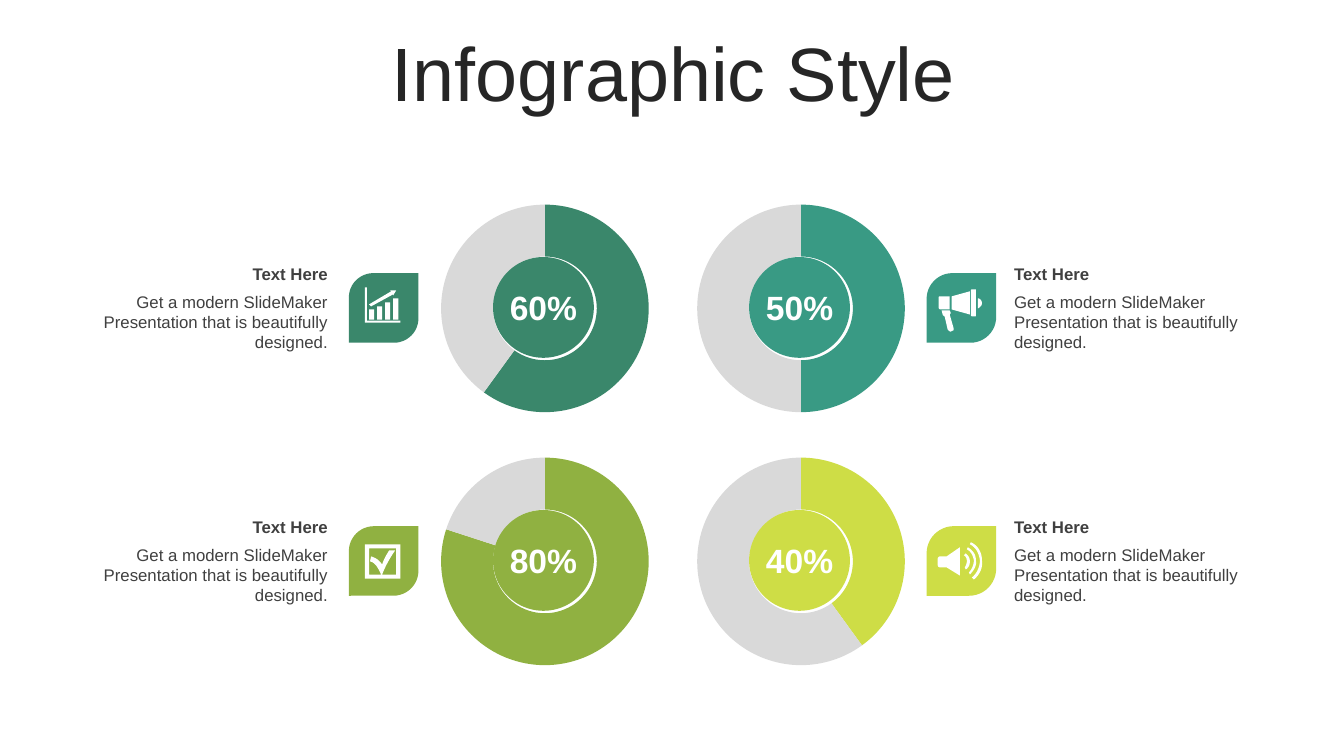
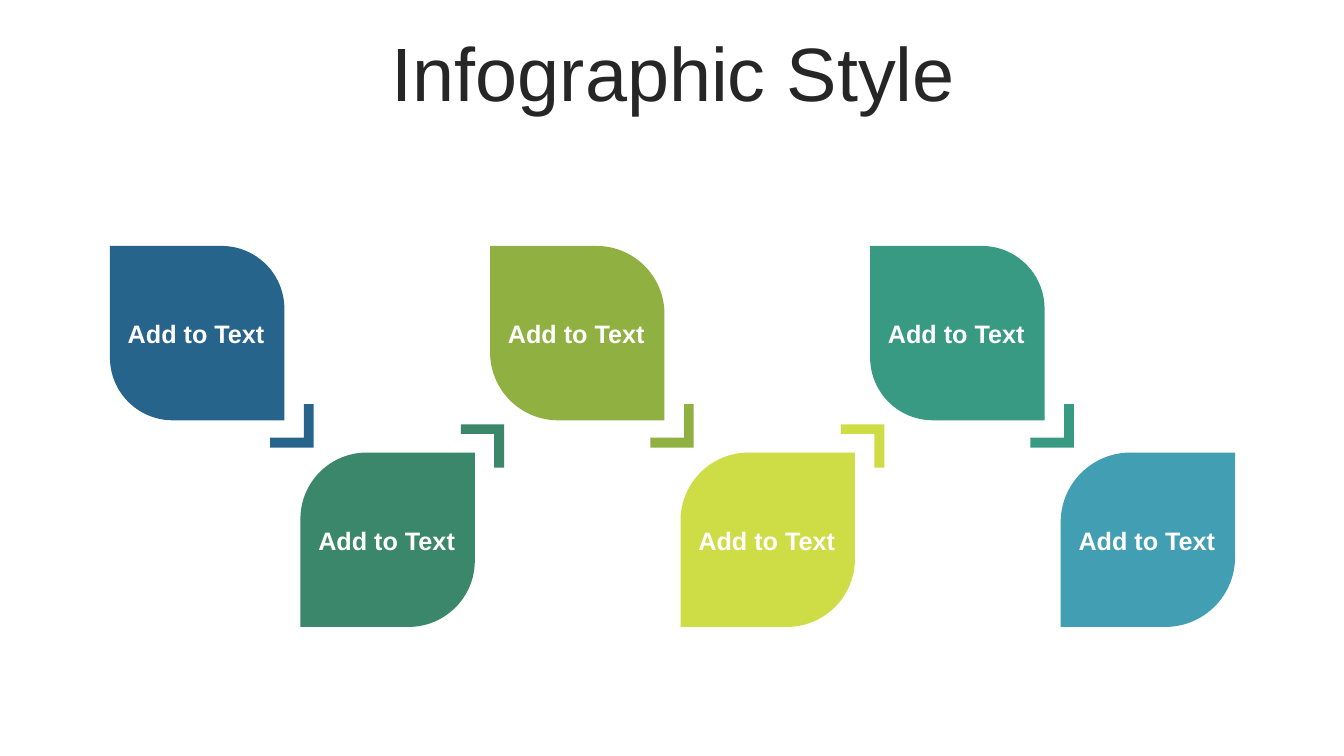
from pptx import Presentation
from pptx.chart.data import CategoryChartData
from pptx.dml.color import RGBColor
from pptx.enum.chart import XL_CHART_TYPE as ChartType
from pptx.enum.shapes import MSO_SHAPE as Preset
from pptx.enum.text import MSO_ANCHOR as Anchor, MSO_AUTO_SIZE as AutoSize, PP_ALIGN as Align
from pptx.oxml import parse_xml
from pptx.oxml.ns import nsdecls
from pptx.util import Pt

PX = 9144  # EMU in one px, 100 px to the inch
FONT = "Arial"

WHITE = RGBColor(0xFF, 0xFF, 0xFF)
INK = RGBColor(0x26, 0x26, 0x26)
GRAY = RGBColor(0x40, 0x40, 0x40)
SILVER = RGBColor(0xD9, 0xD9, 0xD9)
BLACK = RGBColor(0x00, 0x00, 0x00)
BLUE = RGBColor(0x26, 0x64, 0x8C)
GREEN = RGBColor(0x3A, 0x87, 0x6B)
OLIVE = RGBColor(0x90, 0xB1, 0x41)
LIME = RGBColor(0xCE, 0xDD, 0x46)
TEAL = RGBColor(0x39, 0x9A, 0x84)
SKY = RGBColor(0x42, 0x9E, 0xB3)

# Icon outlines in px from the tile corner: a pair is a line, six numbers a Bézier curve
GROWTH_ICON = [
    *[[(x, top), (x + 5, top), (x + 5, 46), (x, 46)]
      for x, top in ((20, 36), (28, 33), (36, 29), (44, 25))],
    [(41, 17), (47, 17), (44, 22), (44, 21), (22, 33), (20, 31), (42, 18)],
    [(16, 14), (18, 14), (18, 47), (51, 47), (51, 49), (16, 49)],
]
MEGAPHONE_ICON = [
    [(23, 37), (24, 39), (24, 40, 24, 40, 23, 41), (27, 55), (27, 56, 27, 57, 26, 57),
     (24, 58), (23, 58, 22, 57, 21, 56), (18, 43), (17, 42, 16, 42, 16, 41), (15, 37)],
    [(51, 25), (53, 25, 55, 27, 55, 30), (55, 32, 53, 34, 51, 35), (51, 31, 51, 28, 51, 25)],
    [(14, 23), (23, 23), (23, 36), (14, 36), (13, 36, 12, 35, 12, 34), (12, 24),
     (12, 23, 13, 23, 14, 23)],
    [(43, 18), (43, 41), (25, 36), (25, 23)],
    [(45, 16), (48, 16), (49, 16, 49, 16, 49, 17), (49, 42), (49, 42, 49, 43, 48, 43),
     (45, 43), (45, 43, 44, 42, 44, 42), (44, 17), (44, 16, 45, 16, 45, 16)],
]
CHECK_ICON = [
    [(20, 22), (20, 48), (32, 48), (30, 44, 27, 36, 21, 35), (22, 30),
     (28, 32, 30, 34, 33, 38), (35, 32, 37, 29, 40, 24), (46, 24),
     (41, 31, 36, 40, 33, 48), (47, 48), (47, 22)],
    [(16, 18), (51, 18), (51, 52), (16, 52)],
]
SPEAKER_ICON = [
    [(39, 27), (41, 29, 43, 31, 43, 35), (43, 38, 42, 41, 39, 43), (38, 41),
     (39, 39, 40, 37, 40, 35), (40, 32, 39, 30, 37, 29)],
    [(41, 21), (46, 24, 49, 28, 49, 34), (50, 39, 47, 44, 43, 48), (42, 46),
     (45, 43, 47, 38, 47, 34), (46, 29, 44, 25, 40, 23)],
    [(33, 21), (33, 49), (20, 41), (14, 41), (12, 41, 11, 40, 11, 38), (11, 33),
     (11, 31, 12, 30, 14, 30), (20, 30)],
    [(44, 16), (51, 19, 55, 26, 55, 34), (56, 41, 53, 48, 47, 53), (45, 51),
     (50, 47, 53, 40, 53, 34), (52, 27, 49, 21, 43, 18)],
]


def add_text(slide, text, left, top, width, height, size=12, color=GRAY, bold=False,
             align=Align.LEFT, anchor=Anchor.TOP, grow=True, line_spacing=None):
    box = slide.shapes.add_textbox(left * PX, top * PX, width * PX, height * PX)
    frame = box.text_frame
    frame.word_wrap = True
    frame.auto_size = AutoSize.SHAPE_TO_FIT_TEXT if grow else AutoSize.NONE
    frame.vertical_anchor = anchor
    paragraph = frame.paragraphs[0]
    paragraph.alignment = align
    paragraph.line_spacing = line_spacing
    run = paragraph.add_run()
    run.text = text
    run.font.name = FONT
    run.font.size = Pt(size)
    run.font.bold = bold
    run.font.color.rgb = color


def add_shape(slide, preset, left, top, size, color, adjustments=(), rotation=0):
    shape = slide.shapes.add_shape(preset, left * PX, top * PX, size * PX, size * PX)
    for index, value in enumerate(adjustments):
        shape.adjustments[index] = value
    shape.rotation = rotation
    shape.fill.solid()
    shape.fill.fore_color.rgb = color
    shape.line.fill.background()
    shape.shadow.inherit = False


presentation = Presentation()
presentation.slide_width = 1333 * PX
presentation.slide_height = 750 * PX

# Both slides share the title
slides = []
for _ in range(2):
    slide = presentation.slides.add_slide(presentation.slide_layouts[6])
    add_text(slide, "Infographic Style", 35, 37, 1266, 79, size=54, color=INK,
             align=Align.CENTER, anchor=Anchor.MIDDLE, grow=False, line_spacing=0.9)
    slides.append(slide)
donut_slide, step_slide = slides

# Slide 1: columns give chart left, tile left, text left, text width and alignment
LEFT_COLUMN = (426, 346, 88, 247, Align.RIGHT)
RIGHT_COLUMN = (680, 919, 996, 250, Align.LEFT)
UPPER_ROW, LOWER_ROW = 271, 522  # tile tops
CHART_WIDTH, CHART_HEIGHT = 226, 213
donuts = [
    (LEFT_COLUMN, UPPER_ROW, 60, GREEN, 0.35, GROWTH_ICON),
    (RIGHT_COLUMN, UPPER_ROW, 50, TEAL, 0.37, MEGAPHONE_ICON),
    (LEFT_COLUMN, LOWER_ROW, 80, OLIVE, 0.36, CHECK_ICON),
    (RIGHT_COLUMN, LOWER_ROW, 40, LIME, 0.39, SPEAKER_ICON),
]
for column, tile_top, percent, color, rounding, icon in donuts:
    chart_left, tile_left, text_left, text_width, align = column

    # Doughnut chart
    data = CategoryChartData()
    data.categories = ["1", "2"]
    data.add_series("Series 1", (percent, 100 - percent))
    chart = donut_slide.shapes.add_chart(
        ChartType.DOUGHNUT, chart_left * PX, (tile_top - 72) * PX,
        CHART_WIDTH * PX, CHART_HEIGHT * PX, data).chart
    chart.has_legend = False
    chart.has_title = False
    chart.font.name = FONT
    chart.font.size = Pt(18)
    chart.font.color.rgb = BLACK
    plot = chart.plots[0]
    plot.vary_by_categories = True
    for index, point_color in enumerate((color, SILVER)):
        point_format = plot.series[0].points[index].format
        point_format.fill.solid()
        point_format.fill.fore_color.rgb = point_color
        point_format.line.fill.background()
    chart_space = chart.element
    chart_space.xpath(".//c:holeSize")[0].set("val", "75")
    plot_area = chart_space.xpath(".//c:plotArea")[0]
    for old_layout in plot_area.xpath("./c:layout"):
        plot_area.remove(old_layout)
    plot_area.insert(0, parse_xml(
        f'<c:layout {nsdecls("c")}><c:manualLayout><c:layoutTarget val="inner"/>'
        '<c:xMode val="edge"/><c:yMode val="edge"/>'
        f'<c:x val="{10 / CHART_WIDTH}"/><c:y val="{4 / CHART_HEIGHT}"/>'
        f'<c:w val="{209 / CHART_WIDTH}"/><c:h val="{206 / CHART_HEIGHT}"/>'
        '</c:manualLayout></c:layout>'))

    # Centre disc with the percentage
    add_shape(donut_slide, Preset.OVAL, chart_left + 63, tile_top - 16, 100, color)
    add_text(donut_slide, f"{percent}%", chart_left + 62, tile_top + 9, 102, 50, size=24,
             color=WHITE, bold=True, align=Align.CENTER, anchor=Anchor.MIDDLE)

    # Tile with its icon
    add_shape(donut_slide, Preset.ROUND_2_DIAG_RECTANGLE, tile_left, tile_top, 69, color,
              (rounding, 0))
    builder = None
    for contour in icon:
        points = []
        for segment in contour:
            values = [(tile_left + x, tile_top + y)
                      for x, y in zip(segment[::2], segment[1::2])]
            if len(values) == 1:
                points += values
                continue
            controls = [points[-1], *values]
            for t in (step / 8 for step in range(1, 9)):
                weights = ((1 - t) ** 3, 3 * t * (1 - t) ** 2, 3 * t * t * (1 - t), t ** 3)
                points.append(tuple(sum(w * control[axis] for w, control in zip(weights, controls))
                                    for axis in (0, 1)))
        points = [(round(x * PX), round(y * PX)) for x, y in points]
        if builder is None:
            builder = donut_slide.shapes.build_freeform(*points[0])
        else:
            builder.move_to(*points[0])
        builder.add_line_segments(points[1:], close=True)
    icon_shape = builder.convert_to_shape()
    icon_shape.fill.solid()
    icon_shape.fill.fore_color.rgb = WHITE
    icon_shape.line.fill.background()
    icon_shape.shadow.inherit = False

    # Heading and description
    add_text(donut_slide, "Text Here", text_left, tile_top - 14, text_width, 30,
             bold=True, align=align, anchor=Anchor.MIDDLE)
    add_text(donut_slide, "Get a modern SlideMaker Presentation that is beautifully designed.",
             text_left, tile_top + 13, text_width, 71, align=align)

# Slide 2: leaves step down and up, each but the last followed by a corner
leaves = [(BLUE, 0.36), (GREEN, 0.38), (OLIVE, 0.39), (LIME, 0.39), (TEAL, 0.36), (SKY, 0.4)]
for index, (color, rounding) in enumerate(leaves):
    left = 109 + round(index * 943 / 5)
    upper = index % 2 == 0
    top = 244 if upper else 449
    add_shape(step_slide, Preset.ROUND_2_DIAG_RECTANGLE, left, top, 173, color,
              (rounding, 0), rotation=90 if upper else 0)
    if index < len(leaves) - 1:
        add_shape(step_slide, Preset.CORNER, left + 159, 401 if upper else 421, 43, color,
                  (0.22, 0.23), rotation=270 if upper else 180)
    add_text(step_slide, "Add to Text", left + 3, top + 67, 165, 40, size=18,
             color=WHITE, bold=True, align=Align.CENTER)

presentation.save("out.pptx")
